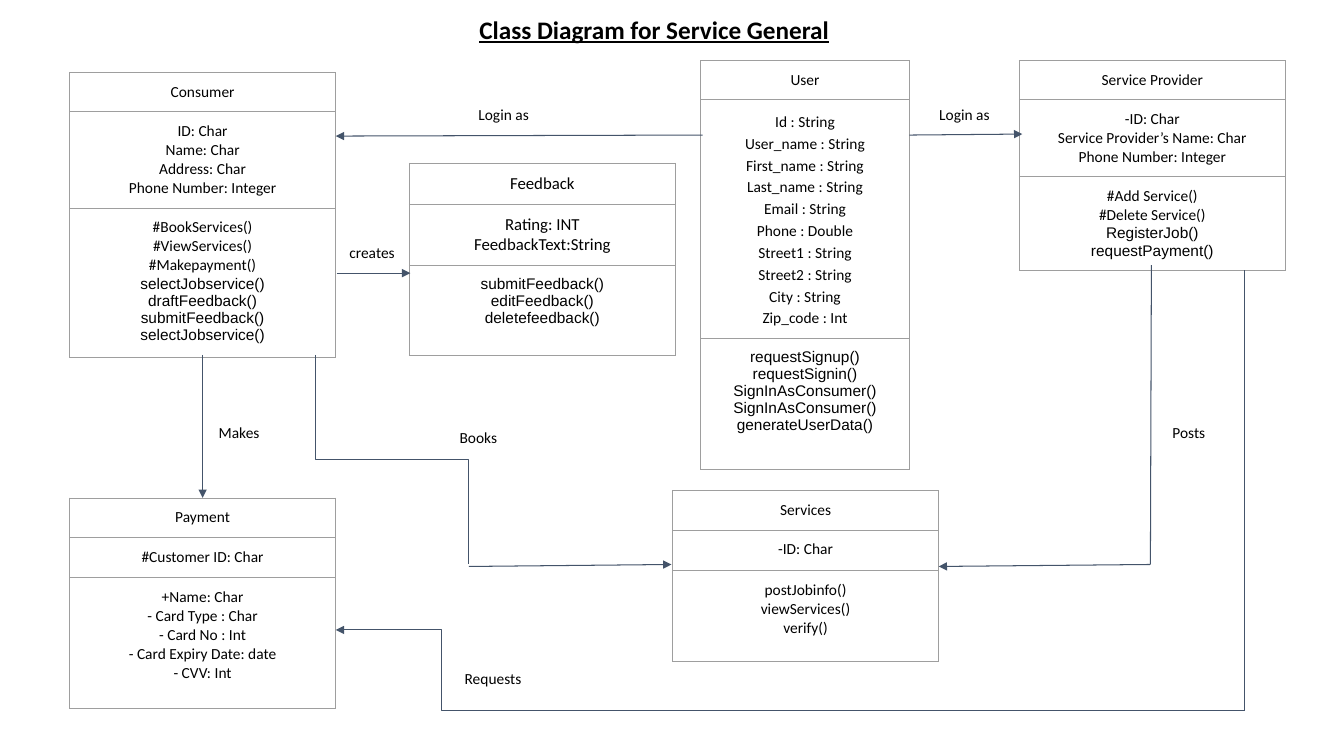
from lxml import etree
from pptx import Presentation
from pptx.dml.color import RGBColor
from pptx.enum import shapes, text
from pptx.oxml.ns import qn
from pptx.util import Inches, Pt

COLORS = {"text": "000000", "border": "9E9E9E", "arrow": "44546A"}
TITLE = "Class Diagram for Service General"

# left, top, width, row heights, Calibri size, attribute line spacing,
# name, attributes, Calibri methods, Arial methods
CLASSES = [
    (4.06, 1.62, 2.64, (0.4, 0.61, 0.89), 12, 1, "Feedback",
     ["Rating: INT", "FeedbackText:String"], [],
     ["submitFeedback()", "editFeedback()", "deletefeedback()"]),
    (6.95, 0.6, 2.07, (0.38, 2.31, 1.3), 11, 1.15, "User",
     ["Id : String", "User_name : String", "First_name : String",
      "Last_name : String", "Email : String", "Phone : Double",
      "Street1 : String", "Street2 : String", "City : String",
      "Zip_code : Int"], [],
     ["requestSignup()", "requestSignin()", "SignInAsConsumer()",
      "SignInAsConsumer()", "generateUserData()"]),
    (10.11, 0.6, 2.64, (0.38, 0.75, 0.93), 11, 1, "Service Provider",
     ["-ID: Char", "Service Provider’s Name: Char",
      "Phone Number: Integer"],
     ["#Add Service()", "#Delete Service()"],
     ["RegisterJob()", "requestPayment()"]),
    (0.69, 0.72, 2.64, (0.38, 0.94, 1.48), 11, 1, "Consumer",
     ["ID: Char", "Name: Char", "Address: Char", "Phone Number: Integer"],
     ["#BookServices()", "#ViewServices()", "#Makepayment()"],
     ["selectJobservice()", "draftFeedback()", "submitFeedback()",
      "selectJobservice()"]),
    (6.67, 4.87, 2.64, (0.38, 0.4, 0.9), 11, 1, "Services",
     ["-ID: Char"], ["postJobinfo()", "viewServices()", "verify()"], []),
    (0.69, 4.94, 2.64, (0.38, 0.4, 1.3), 11, 1, "Payment",
     ["#Customer ID: Char"],
     ["+Name: Char", "- Card Type : Char", "- Card No : Int",
      "- Card Expiry Date: date", "- CVV: Int"], []),
]

# text, left, top, width, centred
LABELS = [
    ("Login as", 4.62, 0.95, 0.75, True),
    ("Login as", 9.19, 0.95, 0.75, True),
    ("creates", 3.33, 2.32, 0.72, True),
    ("Makes", 2.07, 4.11, 0.72, False),
    ("Books", 4.46, 4.16, 0.64, False),
    ("Posts", 11.53, 4.11, 0.64, False),
    ("Requests", 4.51, 6.55, 0.98, False),
]

# x1, y1, x2, y2, route, arrowhead
LINES = [
    (2.01, 3.52, 2.01, 4.94, "straight", True),
    (9.02, 1.34, 10.14, 1.33, "straight", True),
    (6.97, 1.34, 3.33, 1.35, "straight", True),
    (3.34, 2.71, 4.07, 2.71, "straight", True),
    (11.42, 2.63, 11.41, 5.6, "straight", False),
    (11.41, 5.6, 9.31, 5.62, "straight", True),
    (3.13, 3.52, 4.65, 5.6, "down first", False),
    (4.65, 5.62, 6.66, 5.6, "straight", True),
    (12.34, 2.68, 12.34, 7.05, "straight", False),
    (12.34, 7.05, 5.41, 7.05, "straight", False),
    (5.42, 7.05, 3.33, 6.25, "across first", True),
]


def set_margins(frame, prefix, x=0.1, y=0.1):
    """Set the four insets of a text frame or a table cell."""
    for side, gap in (("left", x), ("right", x), ("top", y), ("bottom", y)):
        setattr(frame, prefix + side, Inches(gap))


def write(tf, lines, centred=True, spacing=1, **font):
    """Fill a text frame with (text, font name, size) lines."""
    for i, (words, name, size) in enumerate(lines):
        p = tf.add_paragraph() if i else tf.paragraphs[0]
        p.alignment = text.PP_ALIGN.CENTER if centred else text.PP_ALIGN.LEFT
        p.line_spacing = spacing
        p.space_before = p.space_after = Pt(0)
        r = p.add_run()
        r.text = words
        for key, value in {"name": name, "size": Pt(size), **font}.items():
            setattr(r.font, key, value)
        r.font.color.rgb = RGBColor.from_string(COLORS["text"])


def add_borders(cell):
    """Draw a thin border on each side of a cell."""
    tcPr = cell._tc.get_or_add_tcPr()
    for i, side in enumerate(("lnL", "lnR", "lnT", "lnB")):
        ln = etree.Element(qn("a:" + side), w=str(Pt(0.75)))
        fill = etree.SubElement(ln, qn("a:solidFill"))
        etree.SubElement(fill, qn("a:srgbClr"), val=COLORS["border"])
        tcPr.insert(i, ln)


def add_class(s, left, top, width, heights, size, spacing, name,
              attributes, methods, arial_methods):
    """Add a class box: name, attributes and methods, one row each."""
    table = s.shapes.add_table(3, 1, Inches(left), Inches(top), Inches(width),
                               Inches(sum(heights))).table
    table.first_row = table.horz_banding = False
    rows = [[(t, "Calibri", size) for t in row]
            for row in ([name], attributes, methods)]
    rows[2] += [(t, "Arial", 11) for t in arial_methods]
    for i, (height, lines) in enumerate(zip(heights, rows)):
        table.rows[i].height = Inches(height)
        cell = table.cell(i, 0)
        set_margins(cell, "margin_")
        cell.fill.background()
        add_borders(cell)
        write(cell.text_frame, lines, spacing=spacing if i == 1 else 1)


def add_label(s, words, left, top, width, centred):
    """Add the caption of a relation."""
    tf = s.shapes.add_textbox(Inches(left), Inches(top), Inches(width),
                              Inches(0.39)).text_frame
    tf.word_wrap = True
    set_margins(tf, "margin_")
    write(tf, [(words, "Calibri", 11)], centred)


def add_line(s, x1, y1, x2, y2, route, arrowhead):
    """Add a straight or elbow relation line."""
    kind = shapes.MSO_CONNECTOR
    kind = kind.STRAIGHT if route == "straight" else kind.ELBOW
    turned = route == "down first"
    if turned:  # lay it out sideways about its centre, then rotate
        cx, cy, dx, dy = (x1 + x2) / 2, (y1 + y2) / 2, x2 - x1, y2 - y1
        x1, x2 = cx + dy / 2, cx - dy / 2
        y1, y2 = cy - dx / 2, cy + dx / 2
    c = s.shapes.add_connector(kind, *map(Inches, (x1, y1, x2, y2)))
    c.line.color.rgb = RGBColor.from_string(COLORS["arrow"])
    c.line.width = Pt(0.75)
    spPr = c._element.spPr
    if turned:
        spPr.find(qn("a:xfrm")).set("rot", str(270 * 60000))
    if arrowhead:
        etree.SubElement(spPr.find(qn("a:ln")), qn("a:tailEnd"), type="triangle")
    etree.SubElement(spPr, qn("a:effectLst"))


prs = Presentation()
prs.slide_width, prs.slide_height = Inches(13.33), Inches(7.5)
s = prs.slides.add_slide(prs.slide_layouts[5])

title = s.shapes.title
title.left, title.top = Inches(4.46), Inches(0.09)
title.width, title.height = Inches(4.06), Inches(0.4)
tf = title.text_frame
tf.word_wrap = True
tf.auto_size = text.MSO_AUTO_SIZE.NONE
tf.vertical_anchor = text.MSO_ANCHOR.TOP
set_margins(tf, "margin_", y=0.05)
write(tf, [(TITLE, "Calibri", 18)], bold=True, underline=True)

for add, items in ((add_class, CLASSES), (add_line, LINES), (add_label, LABELS)):
    for item in items:
        add(s, *item)

prs.save("out.pptx")
